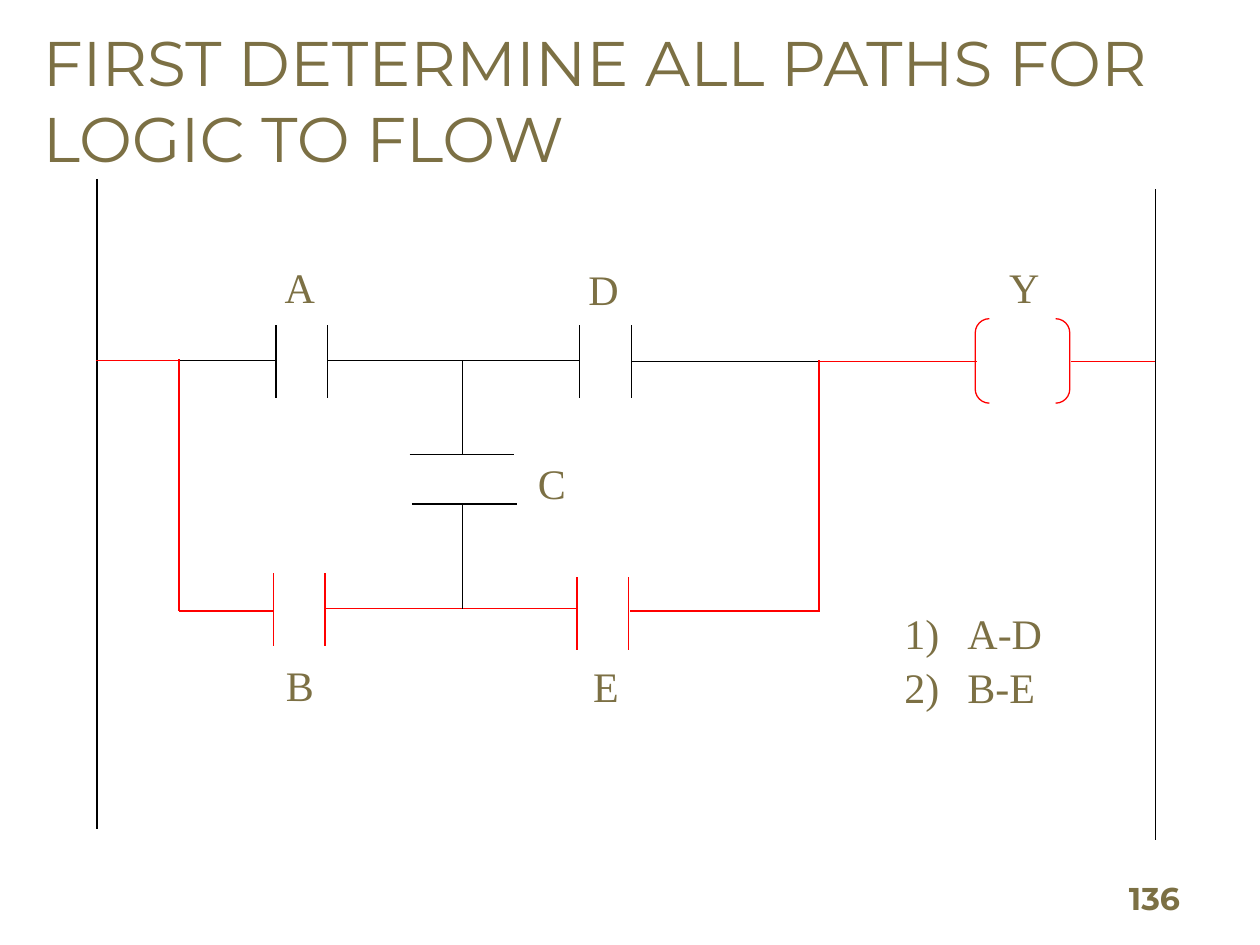
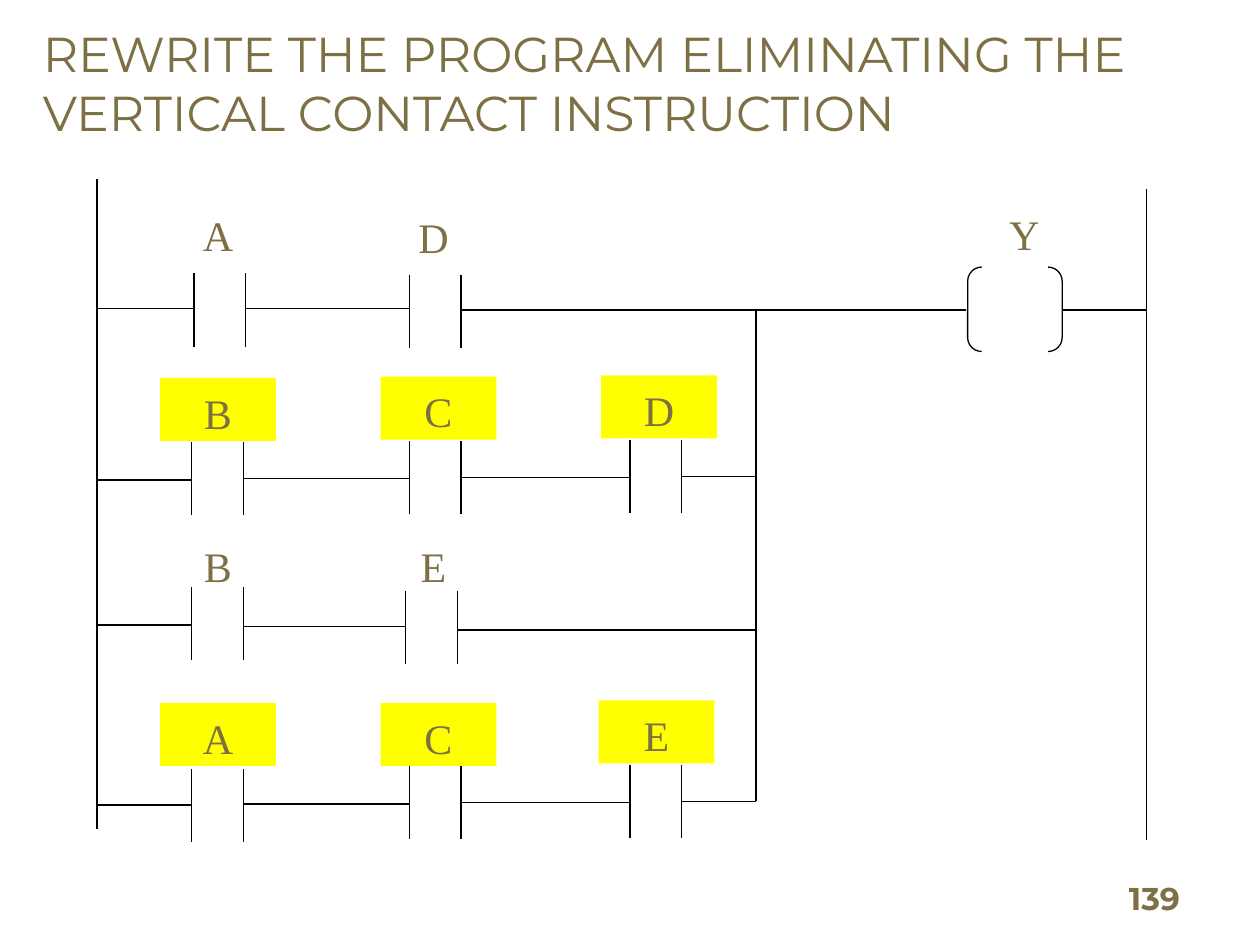
from lxml import etree
from pptx import Presentation
from pptx.dml.color import RGBColor
from pptx.enum import shapes, text
from pptx.oxml import ns
from pptx.util import Inches, Pt

# Shared style
OLIVE, BLACK, RED, YELLOW = "7C7044", "000000", "FF0000", "FFFF00"
TITLE_FONT, LABEL_FONT = "Montserrat", "Times New Roman"
CONTACT_GAP, CONTACT_HEIGHT = 0.41, 0.58
LABEL_WIDTH, LABEL_HEIGHT = 0.92, 0.5
LEFT_RAIL = 0.77


def color(hex_string):
    return RGBColor.from_string(hex_string)


def style_font(paragraph, name, size, bold=False):
    font = paragraph.font
    font.name, font.size, font.bold = name, Pt(size), bold
    font.color.rgb = color(OLIVE)


def add_wire(slide, x1, y1, x2, y2, ink=BLACK):
    wire = slide.shapes.add_connector(
        shapes.MSO_CONNECTOR.STRAIGHT,
        Inches(x1), Inches(y1), Inches(x2), Inches(y2))
    wire.line.color.rgb = color(ink)
    wire.line.width = Pt(0.75)
    etree.SubElement(wire._element.spPr, ns.qn("a:effectLst"))


def add_text_frame(slide, left, top, width, height, fill=None):
    box = slide.shapes.add_textbox(
        Inches(left), Inches(top), Inches(width), Inches(height))
    if fill:
        box.fill.solid()
        box.fill.fore_color.rgb = color(fill)
    box.text_frame.word_wrap = True
    return box.text_frame


def add_heading(slide, words, size, height):
    frame = add_text_frame(slide, 0.25, 0.15, 9.2, height)
    set_tight_margins(frame)
    frame.text = words
    style_font(frame.paragraphs[0], TITLE_FONT, size)


def add_page_number(slide, number):
    frame = add_text_frame(slide, 8.87, 7.01, 1.06, 0.31)
    set_tight_margins(frame)
    frame.vertical_anchor = text.MSO_ANCHOR.BOTTOM
    frame.text = number
    style_font(frame.paragraphs[0], TITLE_FONT, 18, bold=True)


def set_tight_margins(frame):
    frame.margin_left = frame.margin_right = Inches(0.09)
    frame.margin_top = frame.margin_bottom = Inches(0.04)


def add_label(slide, letter, left, top, fill=None):
    frame = add_text_frame(slide, left, top, LABEL_WIDTH, LABEL_HEIGHT, fill)
    frame.auto_size = text.MSO_AUTO_SIZE.SHAPE_TO_FIT_TEXT
    frame.text = letter
    paragraph = frame.paragraphs[0]
    paragraph.alignment = text.PP_ALIGN.CENTER
    paragraph.line_spacing = 1.06
    style_font(paragraph, LABEL_FONT, 24)


def add_numbered_list(slide, items, left, top, width, height):
    frame = add_text_frame(slide, left, top, width, height)
    frame.text = "\n".join(items)
    for paragraph in frame.paragraphs:
        paragraph.line_spacing = 1.06
        props = paragraph._p.get_or_add_pPr()
        props.set("marL", str(Inches(0.5)))
        props.set("indent", str(-Inches(0.5)))
        etree.SubElement(props, ns.qn("a:buFont"), typeface=LABEL_FONT)
        etree.SubElement(props, ns.qn("a:buAutoNum"), type="arabicParenR")
        style_font(paragraph, LABEL_FONT, 24)


def add_contact(slide, left, top, ink=BLACK):
    for x in (left, left + CONTACT_GAP):
        add_wire(slide, x, top, x, top + CONTACT_HEIGHT, ink)


def add_coil(slide, left, top, ink):
    coil = slide.shapes.add_shape(
        shapes.MSO_SHAPE.DOUBLE_BRACKET,
        Inches(left), Inches(top), Inches(0.75), Inches(0.67))
    coil.shadow.inherit = False
    coil.fill.background()
    coil.line.color.rgb = color(ink)
    coil.line.width = Pt(0.75)


def add_rails(slide, right_rail):
    add_wire(slide, LEFT_RAIL, 1.42, LEFT_RAIL, 6.58)
    add_wire(slide, right_rail, 1.5, right_rail, 6.67)


def add_rung(slide, contacts, wire_heights, end, fill=None):
    """Wires run between the left rail, each contact and the end of the rung."""
    start = LEFT_RAIL
    for (letter, left, top, label_left, label_top), y in zip(contacts, wire_heights):
        add_wire(slide, start, y, left, y)
        add_contact(slide, left, top)
        add_label(slide, letter, label_left, label_top, fill)
        start = left + CONTACT_GAP
    add_wire(slide, start, wire_heights[-1], end, wire_heights[-1])


def build_paths_slide(slide):
    add_rails(slide, 9.17)

    # Upper path A-D and the output line
    for left in (2.19, 4.6):
        add_contact(slide, left, 2.58)
    for x1, x2, y in ((0.77, 2.19, 2.86), (2.6, 4.6, 2.86), (5.02, 7.69, 2.87)):
        add_wire(slide, x1, y, x2, y)

    # Vertical contact C
    add_wire(slide, 3.25, 3.61, 4.08, 3.61)
    add_wire(slide, 3.27, 4, 4.1, 4)
    add_wire(slide, 3.67, 2.86, 3.67, 3.61)

    # Highlighted path B-E
    add_contact(slide, 2.17, 4.55, RED)
    add_contact(slide, 4.58, 4.58, RED)
    for x1, y1, x2, y2 in (
            (0.76, 2.86, 1.43, 2.86), (1.42, 2.85, 1.42, 4.85),
            (1.42, 4.85, 2.17, 4.85), (2.58, 4.83, 4.58, 4.83),
            (5, 4.85, 6.5, 4.85), (6.5, 2.86, 6.5, 4.86),
            (6.5, 2.87, 7.75, 2.87), (8.5, 2.87, 9.17, 2.87)):
        add_wire(slide, x1, y1, x2, y2, RED)
    add_wire(slide, 3.67, 4, 3.67, 4.83)
    add_coil(slide, 7.74, 2.53, RED)

    # Labels and list of paths
    for letter, left, top in (("A", 1.92, 2), ("B", 1.92, 5.16), ("C", 3.92, 3.56),
                              ("D", 4.33, 2.02), ("E", 4.35, 5.17), ("Y", 7.67, 2)):
        add_label(slide, letter, left, top)
    add_numbered_list(slide, ["A-D", "B-E"], 7.08, 4.75, 1.5, 0.91)

    add_heading(slide, "FIRST DETERMINE ALL PATHS FOR LOGIC TO FLOW", 36, 1.29)
    add_page_number(slide, "136")


def build_rewrite_slide(slide):
    right_rail, branch = 9.1, 6
    add_rails(slide, right_rail)

    # Four rungs, with the rewritten paths through C highlighted
    add_rung(slide, [("A", 1.54, 2.17, 1.27, 1.59), ("D", 3.25, 2.18, 2.98, 1.61)],
             (2.45, 2.45, 2.46), 7.67)
    add_rung(slide, [("B", 1.52, 3.51, 1.27, 3), ("C", 3.25, 3.5, 3.02, 2.99),
                     ("D", 5, 3.49, 4.77, 2.98)],
             (3.81, 3.8, 3.79, 3.78), branch, YELLOW)
    add_rung(slide, [("B", 1.52, 4.66, 1.27, 4.22), ("E", 3.22, 4.69, 2.98, 4.22)],
             (4.96, 4.97, 5), branch)
    add_rung(slide, [("A", 1.52, 6.1, 1.27, 5.58), ("C", 3.25, 6.08, 3.02, 5.58),
                     ("E", 5, 6.07, 4.75, 5.56)],
             (6.39, 6.38, 6.37, 6.36), branch, YELLOW)
    add_wire(slide, branch, 2.45, branch, 6.36)

    # Output
    add_coil(slide, 7.68, 2.12, BLACK)
    add_wire(slide, 8.44, 2.46, right_rail, 2.46)
    add_label(slide, "Y", 7.67, 1.58)

    add_heading(slide, "REWRITE THE PROGRAM ELIMINATING THE "
                "VERTICAL CONTACT INSTRUCTION", 28, 1.02)
    add_page_number(slide, "139")


def main():
    deck = Presentation()
    deck.slide_width, deck.slide_height = Inches(10), Inches(7.5)
    blank = deck.slide_layouts[6]
    for build in (build_paths_slide, build_rewrite_slide):
        build(deck.slides.add_slide(blank))
    deck.save("out.pptx")


if __name__ == "__main__":
    main()
